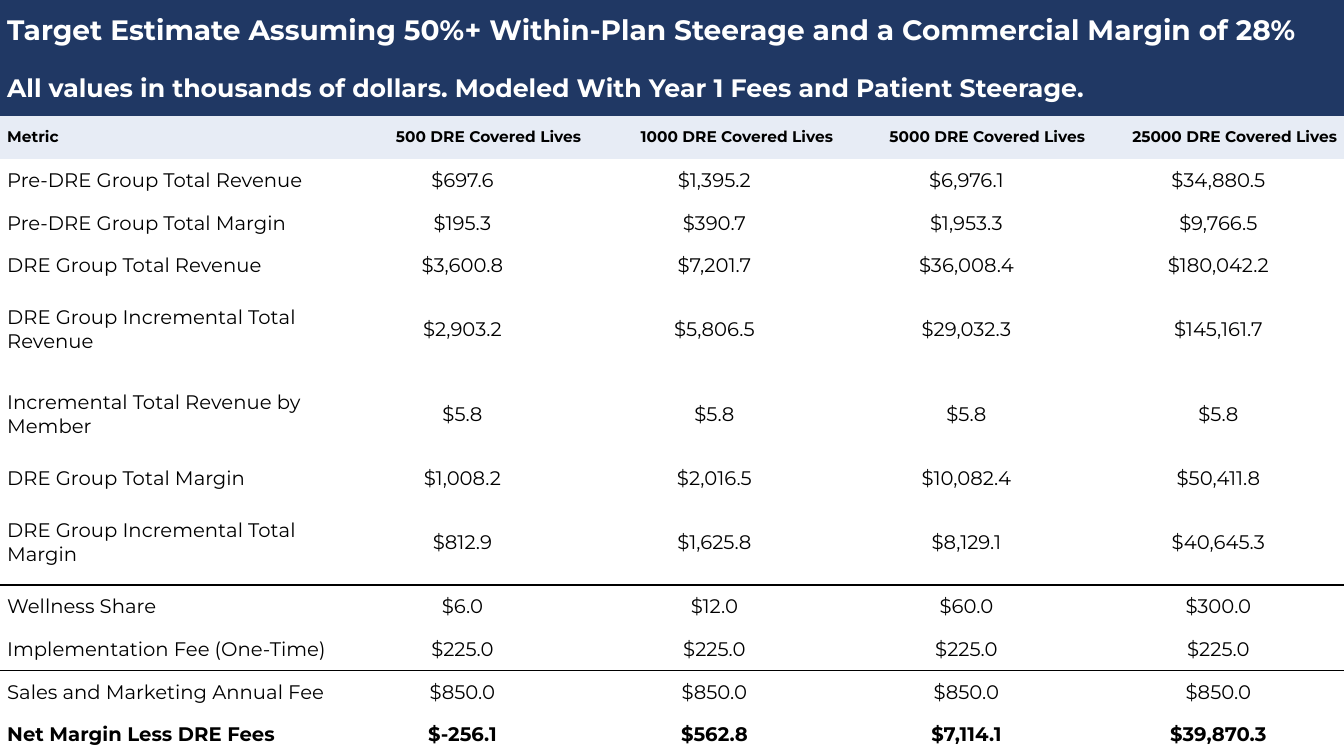
from lxml import etree
from pptx import Presentation
from pptx import util as u
from pptx.dml.color import RGBColor
from pptx.enum import text
from pptx.oxml import ns

NAVY = RGBColor(0x20, 0x38, 0x64)
PALE = RGBColor(0xE7, 0xEC, 0xF5)
WHITE = RGBColor(0xFF, 0xFF, 0xFF)
BLACK = RGBColor(0, 0, 0)
FONT = "Montserrat"
PLAIN_STYLE = "{2D5ABB26-0587-4C30-8999-92F81FD0307C}"

LEFT, CENTER, RIGHT = (text.PP_ALIGN.LEFT, text.PP_ALIGN.CENTER,
                       text.PP_ALIGN.RIGHT)
COLUMN_WIDTHS = [8.48] + [6.35] * 4
SINGLE_ROW, DOUBLE_ROW = 1.08, 2.14
INDENT = u.Cm(0.18)

BANNERS = [
    ("Target Estimate Assuming 50%+ Within-Plan Steerage and a Commercial "
     "Margin of 28%", 20, 1.52),
    ("All values in thousands of dollars. Modeled With Year 1 Fees and "
     "Patient Steerage.", 18, 1.4),
]
HEADINGS = ["Metric"] + [f"{lives} DRE Covered Lives"
                         for lives in (500, 1000, 5000, 25000)]
METRICS = [
    ("Pre-DRE Group Total Revenue", 697.6, 1395.2, 6976.1, 34880.5),
    ("Pre-DRE Group Total Margin", 195.3, 390.7, 1953.3, 9766.5),
    ("DRE Group Total Revenue", 3600.8, 7201.7, 36008.4, 180042.2),
    ("DRE Group Incremental Total Revenue", 2903.2, 5806.5, 29032.3, 145161.7),
    ("Incremental Total Revenue by Member", 5.8, 5.8, 5.8, 5.8),
    ("DRE Group Total Margin", 1008.2, 2016.5, 10082.4, 50411.8),
    ("DRE Group Incremental Total Margin", 812.9, 1625.8, 8129.1, 40645.3),
    ("Wellness Share", 6, 12, 60, 300),
    ("Implementation Fee (One-Time)", 225, 225, 225, 225),
    ("Sales and Marketing Annual Fee", 850, 850, 850, 850),
    ("Net Margin Less DRE Fees", -256.1, 562.8, 7114.1, 39870.3),
]
TWO_LINE_METRICS = {"DRE Group Incremental Total Revenue",
                    "Incremental Total Revenue by Member",
                    "DRE Group Incremental Total Margin"}
RULED_BELOW = {"DRE Group Incremental Total Margin",
               "Implementation Fee (One-Time)"}
RULED_ABOVE = {"Wellness Share", "Sales and Marketing Annual Fee"}
TOTAL_METRIC = "Net Margin Less DRE Fees"


def set_format(target, values):
    for name, value in values.items():
        setattr(target, name, value)


def write_cell(cell, words, size, bold, color=BLACK, align=LEFT, fill=None):
    set_format(cell, {"margin_left": 0, "margin_right": 0, "margin_top": 0,
                      "margin_bottom": 0,
                      "vertical_anchor": text.MSO_ANCHOR.MIDDLE})
    if fill is None:
        cell.fill.background()
    else:
        cell.fill.solid()
        cell.fill.fore_color.rgb = fill
    para = cell.text_frame.paragraphs[0]
    para.alignment = align
    properties = para._p.get_or_add_pPr()
    for side in ("marL", "marR"):
        properties.set(side, str(INDENT))
    span = para.add_run()
    span.text = words
    set_format(span.font, {"name": FONT, "size": u.Pt(size), "bold": bold})
    span.font.color.rgb = color


def rule_cell(cell, above, below):
    sides = {"lnL": False, "lnR": False, "lnT": above, "lnB": below}
    for position, (side, ruled) in enumerate(sides.items()):
        line = etree.Element(ns.qn(f"a:{side}"), w=str(u.Pt(1)))
        if ruled:
            fill = etree.SubElement(line, ns.qn("a:solidFill"))
            etree.SubElement(fill, ns.qn("a:srgbClr"), val=str(BLACK))
        else:
            etree.SubElement(line, ns.qn("a:noFill"))
        cell._tc.get_or_add_tcPr().insert(position, line)


def add_plain_table(page, heights):
    frame = page.shapes.add_table(len(heights), len(COLUMN_WIDTHS), 0, 0,
                                  u.Cm(sum(COLUMN_WIDTHS)), u.Cm(sum(heights)))
    table = frame.table
    set_format(table, {"first_row": False, "horz_banding": False})
    table._tbl.tblPr.find(ns.qn("a:tableStyleId")).text = PLAIN_STYLE
    for column, width in zip(table.columns, COLUMN_WIDTHS):
        column.width = u.Cm(width)
    for row, height in zip(table.rows, heights):
        row.height = u.Cm(height)
    return table


def fill_banners(table):
    for row, (words, size, _) in enumerate(BANNERS):
        cells = table.rows[row].cells
        cells[0].merge(cells[len(COLUMN_WIDTHS) - 1])
        write_cell(cells[0], words, size, True, WHITE, fill=NAVY)


def fill_headings(table, row):
    for column, heading in enumerate(HEADINGS):
        write_cell(table.cell(row, column), heading, 11, True,
                   align=RIGHT if column else LEFT, fill=PALE)


def fill_metrics(table, first_row):
    for row, (metric, *amounts) in enumerate(METRICS, first_row):
        entries = [metric] + [f"${amount:,.1f}" for amount in amounts]
        for column, words in enumerate(entries):
            cell = table.cell(row, column)
            write_cell(cell, words, 14, metric == TOTAL_METRIC,
                       align=CENTER if column else LEFT)
            rule_cell(cell, metric in RULED_ABOVE, metric in RULED_BELOW)


def main():
    deck = Presentation()
    set_format(deck, {"slide_width": u.Cm(33.87), "slide_height": u.Cm(19.05)})
    page = deck.slides.add_slide(deck.slide_layouts[6])
    heights = [height for _, _, height in BANNERS] + [SINGLE_ROW]
    heights += [DOUBLE_ROW if metric in TWO_LINE_METRICS else SINGLE_ROW
                for metric, *_ in METRICS]
    table = add_plain_table(page, heights)
    heading_row = len(BANNERS)
    fill_banners(table)
    fill_headings(table, heading_row)
    fill_metrics(table, heading_row + 1)
    deck.save("out.pptx")


if __name__ == "__main__":
    main()
